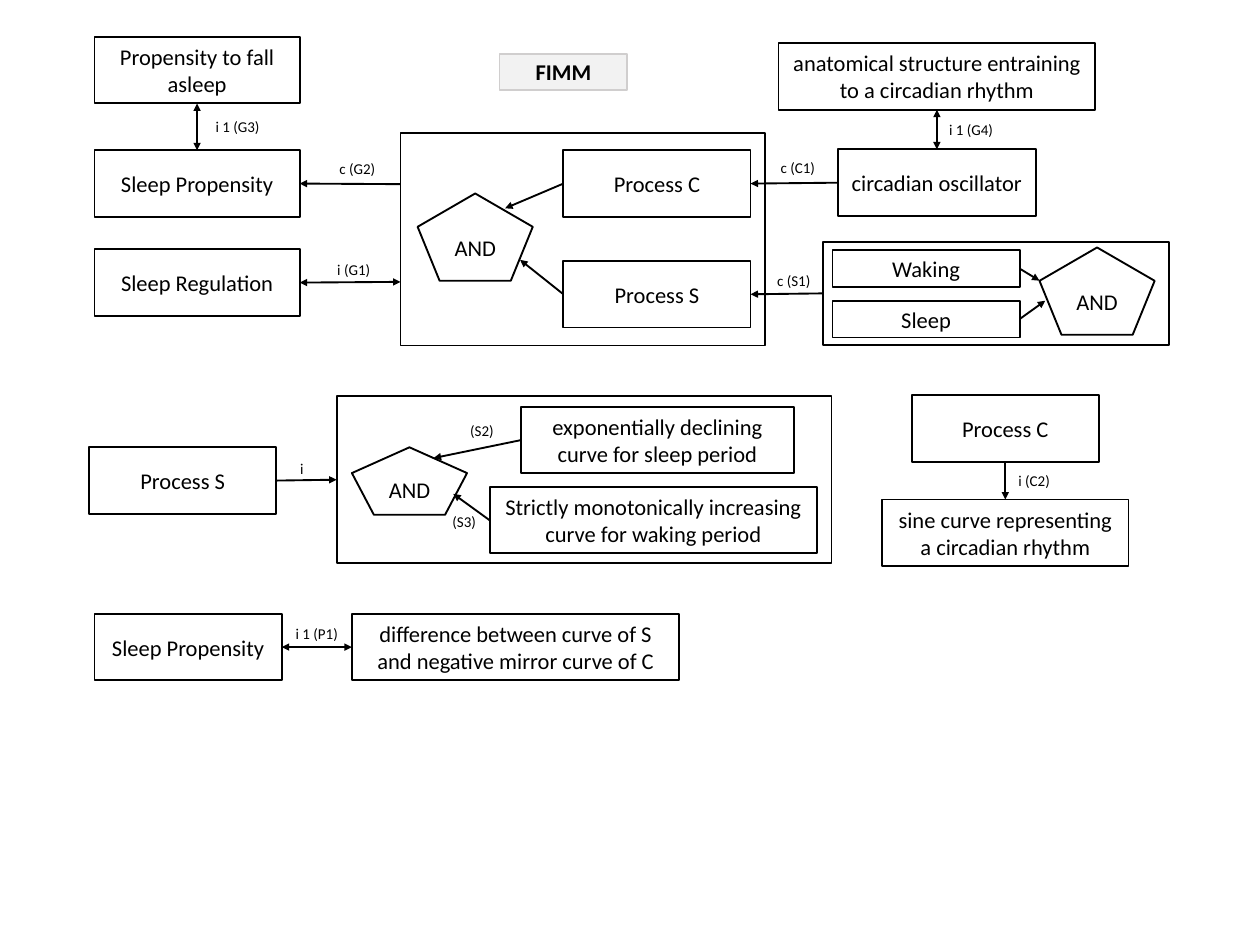
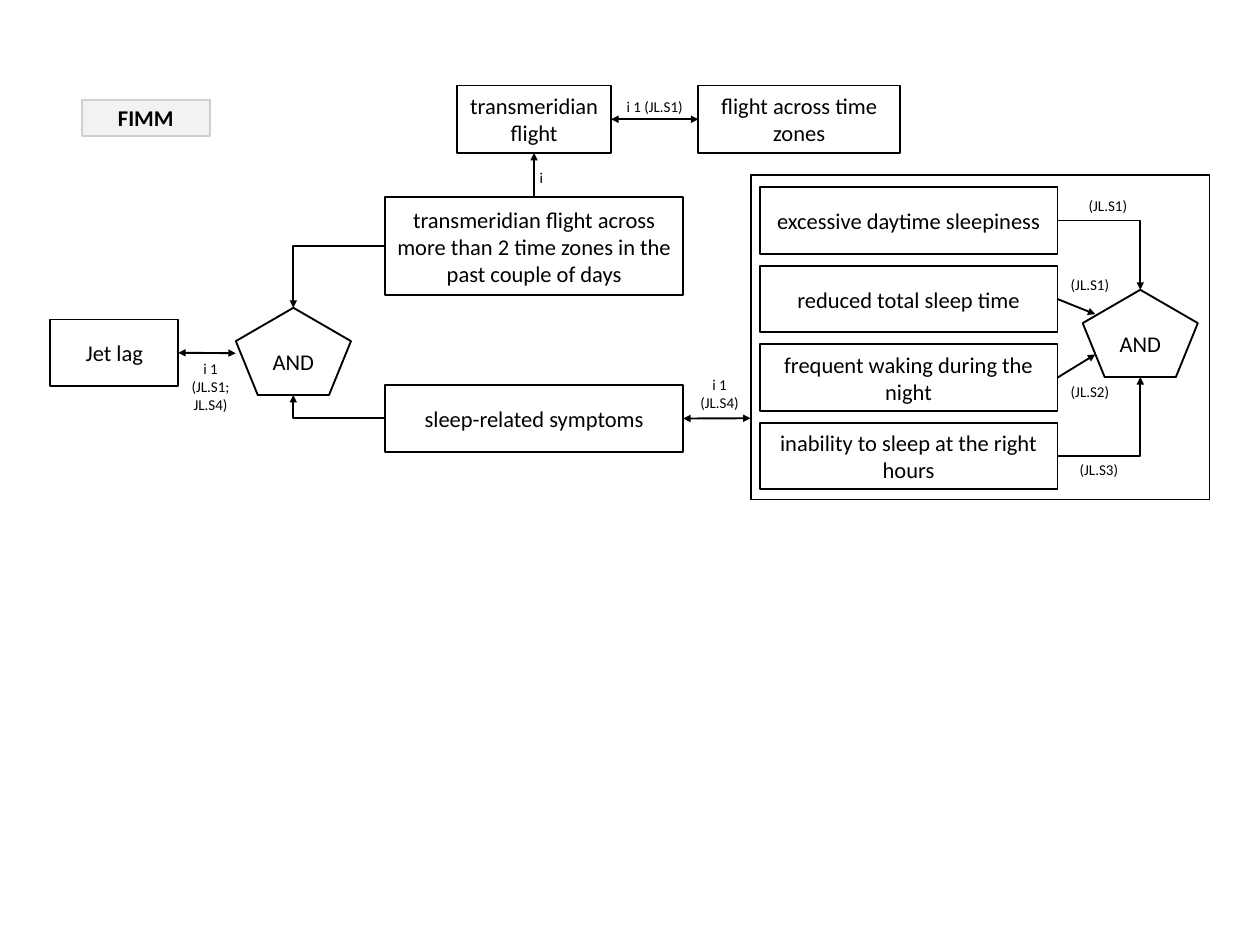
from lxml import etree
from pptx import Presentation
from pptx.dml.color import RGBColor
from pptx.enum.shapes import MSO_CONNECTOR, MSO_SHAPE
from pptx.enum.text import MSO_ANCHOR, MSO_AUTO_SIZE, PP_ALIGN
from pptx.oxml.ns import qn
from pptx.util import Inches, Pt

RECT, PENTAGON = MSO_SHAPE.RECTANGLE, MSO_SHAPE.REGULAR_PENTAGON
STRAIGHT, ELBOW = MSO_CONNECTOR.STRAIGHT, MSO_CONNECTOR.ELBOW
MIDDLE, CENTER = MSO_ANCHOR.MIDDLE, PP_ALIGN.CENTER
GROW = MSO_AUTO_SIZE.SHAPE_TO_FIT_TEXT

FONT = "Calibri"
COLORS = {"ink": "000000", "paper": "FFFFFF", "badge": "F2F2F2", "badge_line": "D0CECE"}
BOX_H, GATE_W, GATE_H = 0.74, 1.28, 0.97
BADGE_W, BADGE_H = 1.42, 0.4
LABEL_W, LABEL_LINE, LABEL_PAD = 1.15, 0.2, 0.1

# Connection sites of a rectangle and where they lie, as shares of its size
TOP, LEFT, BOTTOM, RIGHT = range(4)
SITES = {TOP: (0.5, 0), LEFT: (0, 0.5), BOTTOM: (0.5, 1), RIGHT: (1, 0.5)}
GATE_BOTTOM = 3  # connection site at the middle of a pentagon's base

SYMPTOMS = ["excessive daytime sleepiness", "reduced total sleep time",
            "frequent waking during the night", "inability to sleep at the right hours"]
SYMPTOM_TOP, SYMPTOM_PITCH = 2.08, 0.873

# boxes: name -> (text, left, top, width[, height]); frames: name -> (left, top, width, height)
# gates: name -> (left, top[, height])
# arrows: (start, end, two-way, label lines, label offset from the arrow's middle),
# where an end is (name, site) or (name, share of width, share of height)
SLEEP_MODEL = {
    "badge": (5.55, 0.6),
    "boxes": {
        "propensity": ("Sleep Propensity", 1.05, 1.67, 2.28),
        "fall_asleep": ("Propensity to fall asleep", 1.05, 0.41, 2.28),
        "regulation": ("Sleep Regulation", 1.05, 2.77, 2.28),
        "process_c": ("Process C", 6.26, 1.67, 2.08),
        "process_s": ("Process S", 6.26, 2.9, 2.08),
        "oscillator": ("circadian oscillator", 9.31, 1.66, 2.2),
        "anatomy": ("anatomical structure entraining to a circadian rhythm", 8.65, 0.48, 3.52),
        "waking": ("Waking", 9.25, 2.78, 2.08, 0.41),
        "sleep": ("Sleep", 9.25, 3.34, 2.08, 0.41),
        "c_defined": ("Process C", 10.13, 4.39, 2.08),
        "sine": ("sine curve representing a circadian rhythm", 9.8, 5.55, 2.74),
        "s_defined": ("Process S", 0.99, 4.97, 2.08),
        "declining": ("exponentially declining curve for sleep period", 5.79, 4.52, 3.03),
        "increasing": ("Strictly monotonically increasing curve for waking period",
                       5.44, 5.41, 3.64),
        "p_defined": ("Sleep Propensity", 1.05, 6.82, 2.08),
        "difference": ("difference between curve of S and negative mirror curve of C",
                       3.91, 6.82, 3.64),
    },
    "frames": {
        "processes": (4.45, 1.48, 4.05, 2.36),
        "states": (9.14, 2.69, 3.85, 1.14),
        "curves": (3.74, 4.4, 5.5, 1.86),
    },
    "gates": {
        "process_gate": (4.64, 2.15),
        "state_gate": (11.55, 2.75),
        "curve_gate": (3.91, 4.97, 0.75),
    },
    "arrows": [
        (("fall_asleep", BOTTOM), ("propensity", TOP), True, ["i 1 (G3)"], (0.45, 0)),
        (("processes", 0, 0.24), ("propensity", RIGHT), False, ["c (G2)"], (0.08, -0.17)),
        (("processes", 0, 0.7), ("regulation", RIGHT), True, ["i (G1)"], (0.04, -0.14)),
        (("process_c", LEFT), ("process_gate", 0.76, 0.17), False, [], None),
        (("process_s", LEFT), ("process_gate", 0.89, 0.76), False, [], None),
        (("oscillator", LEFT), ("process_c", RIGHT), False, ["c (C1)"], (0.04, -0.17)),
        (("states", LEFT), ("process_s", RIGHT), False, ["c (S1)"], (0.08, -0.15)),
        (("anatomy", BOTTOM), ("oscillator", TOP), True, ["i 1 (G4)"], (0.38, 0)),
        (("waking", RIGHT), ("state_gate", 0, 0.38), False, [], None),
        (("sleep", RIGHT), ("state_gate", 0.05, 0.61), False, [], None),
        (("c_defined", BOTTOM), ("sine", TOP), False, ["i (C2)"], (0.32, 0)),
        (("s_defined", RIGHT), ("curves", LEFT), False, ["i"], (-0.05, -0.13)),
        (("declining", LEFT), ("curve_gate", 0.71, 0.16), False, ["(S2)"], (0.05, -0.2)),
        (("increasing", LEFT), ("curve_gate", 0.88, 0.69), False, ["(S3)"], (-0.08, 0.16)),
        (("difference", LEFT), ("p_defined", RIGHT), True, ["i 1 (P1)"], (0, -0.15)),
    ],
    "elbows": [],
}

JET_LAG = {
    "badge": (0.91, 1.11),
    "boxes": {
        "jet_lag": ("Jet lag", 0.56, 3.55, 1.42),
        "recent_flight": ("transmeridian flight across more than 2 time zones "
                          "in the past couple of days", 4.28, 2.19, 3.31, 1.09),
        "related": ("sleep-related symptoms", 4.28, 4.28, 3.31),
        "flight": ("transmeridian flight", 5.08, 0.95, 1.71, 0.75),
        "zones": ("flight across time zones", 7.76, 0.95, 2.24, 0.75),
        **{f"symptom_{i}": (text, 8.44, SYMPTOM_TOP + i * SYMPTOM_PITCH, 3.31)
           for i, text in enumerate(SYMPTOMS)},
    },
    "frames": {"symptoms": (8.34, 1.94, 5.1, 3.61)},
    "gates": {"lag_gate": (2.62, 3.42), "symptom_gate": (12.03, 3.22)},
    "arrows": [
        (("lag_gate", 0, 0.52), ("jet_lag", RIGHT), True,
         ["i 1", "(JL.S1;", "JL.S4)"], (0.04, 0.37)),
        (("symptoms", 0, 0.75), ("related", RIGHT), True, ["i 1", "(JL.S4)"], (0.03, -0.27)),
        (("symptom_1", RIGHT), ("symptom_gate", 0.11, 0.28), False, ["(JL.S1)"], (0.15, -0.24)),
        (("symptom_2", RIGHT), ("symptom_gate", 0.11, 0.74), False, ["(JL.S2)"], (0.15, 0.28)),
        (("zones", LEFT), ("flight", RIGHT), True, ["i 1 (JL.S1)"], (0, -0.14)),
        (("recent_flight", TOP), ("flight", BOTTOM), False, ["i"], (0.08, 0.03)),
    ],
    "elbows": [
        (("recent_flight", LEFT), ("lag_gate", TOP), False, [], None),
        (("related", LEFT), ("lag_gate", BOTTOM), False, [], None),
        (("symptom_0", RIGHT), ("symptom_gate", TOP), False, ["(JL.S1)"], (0.1, -0.55)),
        (("symptom_3", RIGHT), ("symptom_gate", BOTTOM), False, ["(JL.S3)"], (0, 0.59)),
    ],
}


def rgb(name):
    return RGBColor.from_string(COLORS[name])


def write(tf, lines, size, bold=False):
    tf.word_wrap = True
    for i, line in enumerate(lines):
        p = tf.paragraphs[0] if i == 0 else tf.add_paragraph()
        p.alignment = CENTER
        r = p.add_run()
        r.text = line
        r.font.name, r.font.size, r.font.bold = FONT, Pt(size), bold
        r.font.color.rgb = rgb("ink")


def add_node(s, kind, place, text="", fill=None, line="ink", bold=False):
    sp = s.shapes.add_shape(kind, *(Inches(v) for v in place))
    sp.shadow.inherit = False
    if fill:
        sp.fill.solid()
        sp.fill.fore_color.rgb = rgb(fill)
    else:
        sp.fill.background()
    sp.line.color.rgb, sp.line.width = rgb(line), Pt(1.5)
    if text:
        sp.text_frame.vertical_anchor = MIDDLE
        write(sp.text_frame, [text], 18, bold)
    return sp


def locate(nodes, end):
    name, *where = end
    fx, fy = SITES[where[0]] if len(where) == 1 else where
    sp = nodes[name]
    return int(sp.left + fx * sp.width), int(sp.top + fy * sp.height)


def add_arrow(s, nodes, kind, start, end, two_way):
    (x1, y1), (x2, y2) = locate(nodes, start), locate(nodes, end)
    cxn = s.shapes.add_connector(kind, x1, y1, x2, y2)
    if len(start) == 2:
        cxn.begin_connect(nodes[start[0]], start[1])
    if len(end) == 2:
        to_base = kind == ELBOW and end[1] == BOTTOM
        cxn.end_connect(nodes[end[0]], GATE_BOTTOM if to_base else end[1])
        cxn.end_x, cxn.end_y = x2, y2
    cxn.line.color.rgb, cxn.line.width = rgb("ink"), Pt(1.5)
    spPr = cxn._element.spPr
    if kind == ELBOW:
        spPr.find(qn("a:prstGeom")).set("prst", "bentConnector2")
    ln = spPr.find(qn("a:ln"))
    for tag in ["a:headEnd", "a:tailEnd"] if two_way else ["a:tailEnd"]:
        etree.SubElement(ln, qn(tag), type="triangle")
    etree.SubElement(spPr, qn("a:effectLst"))
    return (x1 + x2) // 2, (y1 + y2) // 2


def add_label(s, lines, middle, offset):
    w, h = Inches(LABEL_W), Inches(LABEL_PAD + LABEL_LINE * len(lines))
    x, y = (m + Inches(d) for m, d in zip(middle, offset))
    tf = s.shapes.add_textbox(x - w // 2, y - h // 2, w, h).text_frame
    write(tf, lines, 12)
    tf.auto_size = GROW


def build_slide(prs, diagram):
    s = prs.slides.add_slide(prs.slide_layouts[6])
    nodes = {}
    for name, place in diagram["frames"].items():
        nodes[name] = add_node(s, RECT, place)
    for name, (text, x, y, w, *h) in diagram["boxes"].items():
        nodes[name] = add_node(s, RECT, (x, y, w, *(h or [BOX_H])), text, "paper")
    for name, (x, y, *h) in diagram["gates"].items():
        nodes[name] = add_node(s, PENTAGON, (x, y, GATE_W, *(h or [GATE_H])), "AND")
    add_node(s, RECT, (*diagram["badge"], BADGE_W, BADGE_H), "FIMM", "badge", "badge_line", True)
    for kind, arrows in ((STRAIGHT, diagram["arrows"]), (ELBOW, diagram["elbows"])):
        for start, end, two_way, lines, offset in arrows:
            middle = add_arrow(s, nodes, kind, start, end, two_way)
            if lines:
                add_label(s, lines, middle, offset)


def main():
    prs = Presentation()
    prs.slide_width, prs.slide_height = Inches(14), Inches(10.5)
    for diagram in (SLEEP_MODEL, JET_LAG):
        build_slide(prs, diagram)
    prs.save("out.pptx")


if __name__ == "__main__":
    main()
